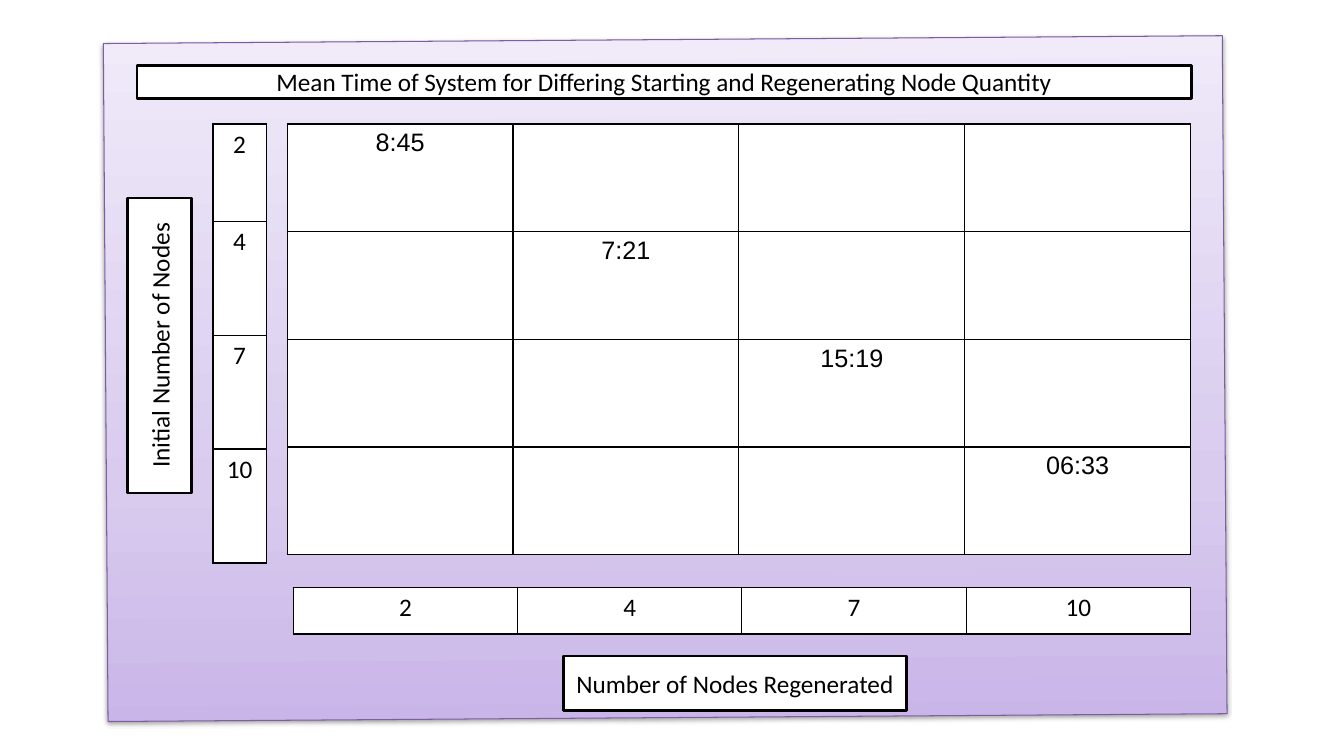
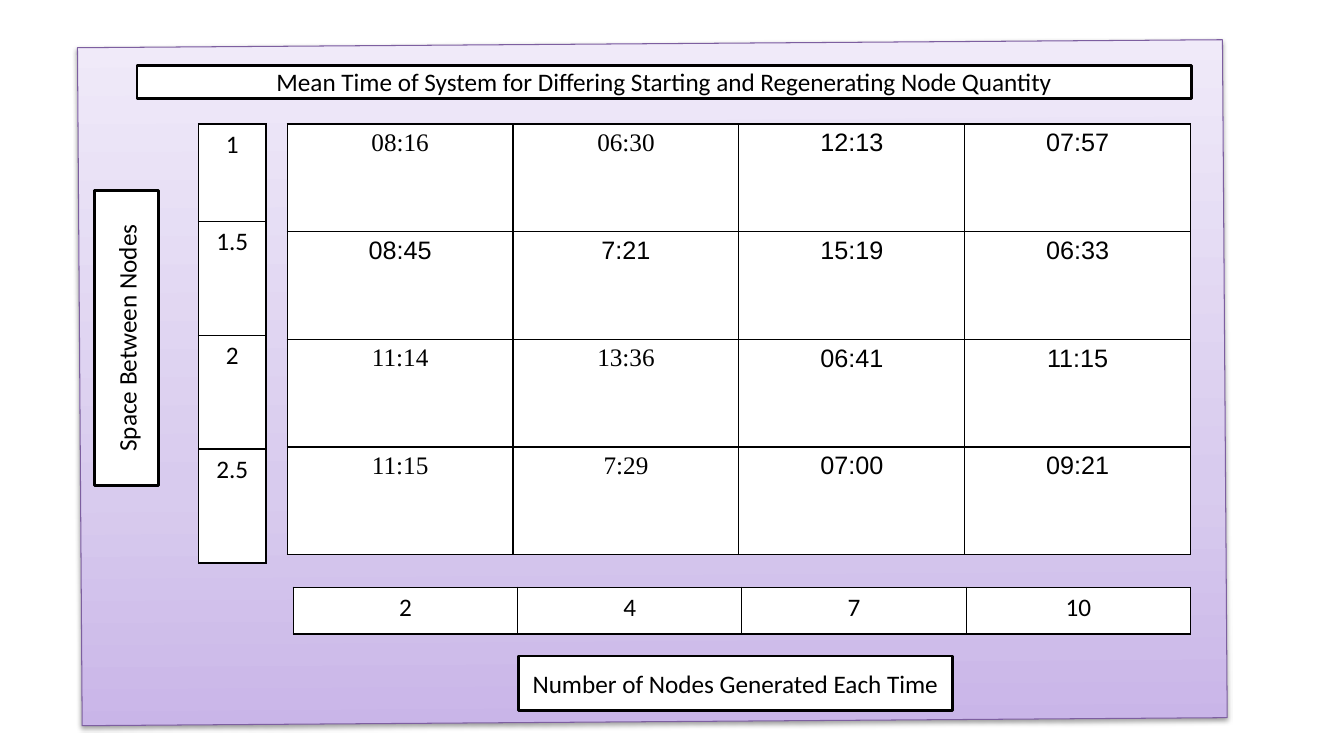
from dataclasses import dataclass

from lxml.etree import SubElement
from pptx import Presentation
from pptx.dml.color import RGBColor
from pptx.enum.shapes import MSO_SHAPE as Preset
from pptx.enum.text import MSO_ANCHOR as Anchor, MSO_AUTO_SIZE as AutoSize, PP_ALIGN as Align
from pptx.oxml import parse_xml
from pptx.oxml.ns import nsdecls, qn
from pptx.util import Pt

BLACK = "000000"
WHITE = "FFFFFF"
PURPLE = "7D5FA0"
GRADIENT = ((0, "C9B5E8"), (35, "D8CBEE"), (100, "F0EAF9"))
HEADING = "Mean Time of System for Differing Starting and Regenerating Node Quantity"
REGENERATED = ("2", "4", "7", "10")
FONT_SIZE = 18
BODY_FONT = "Calibri"
TIME_FONT = "Arial"
SERIF_FONT = "Times New Roman"
BORDER_WIDTH = 0.96
TABLE_TOP = 88.6
TABLE_RIGHT = 850.4


@dataclass(frozen=True)
class Box:
    left: float
    top: float
    width: float
    height: float
    rotation: float = 0


@dataclass(frozen=True)
class TimePage:
    panel: Box
    row_label: str
    row_label_box: Box
    column_label: str
    column_label_box: Box
    row_names: tuple[str, ...]
    row_names_left: float
    row_names_width: float
    times: tuple[tuple[str, ...], ...]
    serif_cells: frozenset[tuple[int, int]] = frozenset()


HEADING_BOX = Box(97.9, 46.9, 753, 23.2)

PAGES = (
    TimePage(
        panel=Box(75.5, 28.3, 799.3, 484.3, 359.6),
        row_label="Initial Number of Nodes",
        row_label_box=Box(8.6, 223.7, 210.8, 46.1, 270),
        column_label="Number of Nodes Regenerated",
        column_label_box=Box(402.5, 468.6, 245, 39),
        row_names=("2", "4", "7", "10"),
        row_names_left=152.2,
        row_names_width=37.9,
        times=(
            ("8:45", "", "", ""),
            ("", "7:21", "", ""),
            ("", "", "15:19", ""),
            ("", "", "", "06:33"),
        ),
    ),
    TimePage(
        panel=Box(57, 31.2, 817.9, 484.3, 359.6),
        row_label="Space Between Nodes",
        row_label_box=Box(-15, 218.4, 210.8, 46.1, 270),
        column_label="Number of Nodes Generated Each Time",
        column_label_box=Box(370.3, 468.6, 310, 39),
        row_names=("1", "1.5", "2", "2.5"),
        row_names_left=141.8,
        row_names_width=48.3,
        times=(
            ("08:16", "06:30", "12:13", "07:57"),
            ("08:45", "7:21", "15:19", "06:33"),
            ("11:14", "13:36", "06:41", "11:15"),
            ("11:15", "7:29", "07:00", "09:21"),
        ),
        serif_cells=frozenset((row, column) for row in (0, 2, 3) for column in (0, 1)),
    ),
)


def color(value: str) -> RGBColor:
    return RGBColor.from_string(value)


def place(shape, box: Box) -> None:
    shape.left, shape.top = Pt(box.left), Pt(box.top)
    shape.width, shape.height = Pt(box.width), Pt(box.height)
    shape.rotation = box.rotation


def add_rectangle(page, box: Box):
    shape = page.shapes.add_shape(Preset.RECTANGLE, 0, 0, 0, 0)
    place(shape, box)
    return shape


def format_text(frame, font: str) -> None:
    for para in frame.paragraphs:
        para.alignment = Align.CENTER
        for span in para.runs:
            span.font.name = font
            span.font.size = Pt(FONT_SIZE)
            span.font.color.rgb = color(BLACK)


def format_label(shape, text: str) -> None:
    shape.shadow.inherit = False
    shape.fill.solid()
    shape.fill.fore_color.rgb = color(WHITE)
    shape.line.color.rgb = color(BLACK)
    shape.line.width = Pt(2)
    frame = shape.text_frame
    frame.text = text
    frame.word_wrap = True
    frame.auto_size = AutoSize.NONE
    frame.vertical_anchor = Anchor.MIDDLE
    format_text(frame, BODY_FONT)


def add_panel(page, box: Box) -> None:
    panel = add_rectangle(page, box)
    panel.line.color.rgb = color(PURPLE)
    panel.line.width = Pt(0.75)
    stops = "".join(
        f'<a:gs pos="{position * 1000}"><a:srgbClr val="{value}"/></a:gs>'
        for position, value in GRADIENT
    )
    properties = panel.element.spPr
    properties.insert(2, parse_xml(
        f'<a:gradFill {nsdecls("a")} rotWithShape="1"><a:gsLst>{stops}</a:gsLst>'
        '<a:lin ang="16200000" scaled="0"/></a:gradFill>'
    ))
    properties.append(parse_xml(
        f'<a:effectLst {nsdecls("a")}><a:outerShdw blurRad="{Pt(3.1)}" dist="{Pt(1.6)}" '
        'dir="5400000" rotWithShape="0"><a:srgbClr val="000000"><a:alpha val="38000"/>'
        '</a:srgbClr></a:outerShdw></a:effectLst>'
    ))


def draw_borders(graphic) -> None:
    for properties in graphic.element.iter(qn("a:tcPr")):
        for index, side in enumerate(("lnL", "lnR", "lnT", "lnB")):
            border = parse_xml(f'<a:{side} {nsdecls("a")} w="{Pt(BORDER_WIDTH)}"/>')
            fill = SubElement(border, qn("a:solidFill"))
            SubElement(fill, qn("a:srgbClr"), val=BLACK)
            properties.insert(index, border)


def add_grid(
    page,
    left: float,
    top: float,
    width: float,
    heights: tuple[float, ...],
    rows: tuple[tuple[str, ...], ...],
    font: str = BODY_FONT,
    serif_cells: frozenset[tuple[int, int]] = frozenset(),
) -> None:
    graphic = page.shapes.add_table(
        len(rows), len(rows[0]), Pt(left), Pt(top), Pt(width), Pt(sum(heights))
    )
    table = graphic.table
    table.first_row = table.horz_banding = False
    for column in table.columns:
        column.width = Pt(width / len(rows[0]))
    for row_index, (height, texts) in enumerate(zip(heights, rows)):
        table.rows[row_index].height = Pt(height)
        for column_index, text in enumerate(texts):
            cell = table.cell(row_index, column_index)
            cell.fill.solid()
            cell.fill.fore_color.rgb = color(WHITE)
            cell.text_frame.text = text
            serif = (row_index, column_index) in serif_cells
            format_text(cell.text_frame, SERIF_FONT if serif else font)
    draw_borders(graphic)


def add_heading(page) -> None:
    heading = page.shapes.title
    place(heading, HEADING_BOX)
    format_label(heading, HEADING)
    heading.element.getparent().append(heading.element)


def build_page(deck, content: TimePage) -> None:
    page = deck.slides.add_slide(deck.slide_layouts[5])
    add_panel(page, content.panel)
    add_grid(page, 205.2, TABLE_TOP, TABLE_RIGHT - 205.2, (76.9,) * 4,
             content.times, TIME_FONT, content.serif_cells)
    add_grid(page, content.row_names_left, TABLE_TOP, content.row_names_width,
             (69.4,) + (81.4,) * 3, tuple((name,) for name in content.row_names))
    add_grid(page, 209.5, 419.5, TABLE_RIGHT - 209.5, (33.4,), (REGENERATED,))
    format_label(add_rectangle(page, content.row_label_box), content.row_label)
    format_label(add_rectangle(page, content.column_label_box), content.column_label)
    add_heading(page)


def main() -> None:
    deck = Presentation()
    deck.slide_width, deck.slide_height = Pt(960), Pt(540)
    for content in PAGES:
        build_page(deck, content)
    deck.save("out.pptx")


if __name__ == "__main__":
    main()
